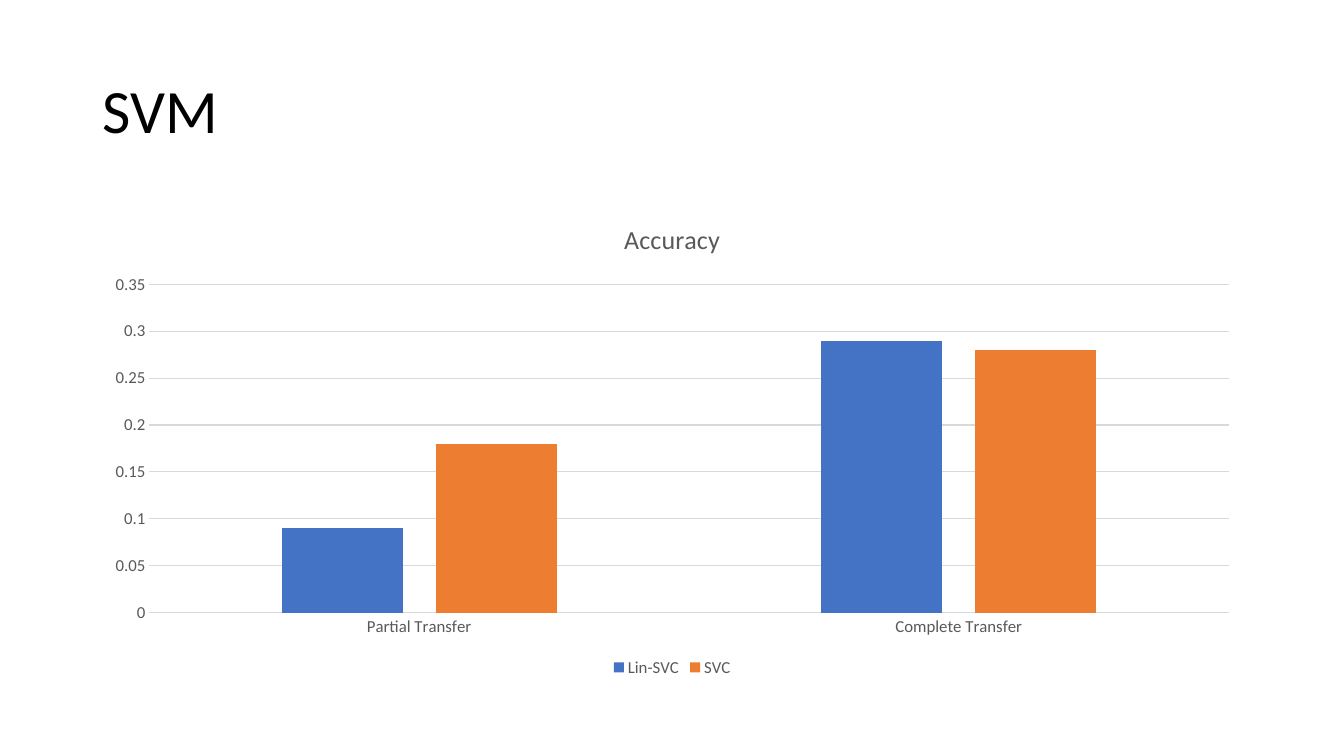
"""Build the SVM accuracy slide."""
import pptx
import pptx.util
import pptx.chart.data
import pptx.dml.color
import pptx.enum.chart
import pptx.enum.text

WIDE, HIGH = 13.33, 7.5
HEAD = "SVM"
NAME = "Accuracy"
CATS = ["Partial Transfer", "Complete Transfer"]
ROWS = [
    ("Lin-SVC", [0.09, 0.29], "4472C4"),
    ("SVC", [0.18, 0.28], "ED7D31"),
]
SIDE, SPAN = 11 / 12, 11.5
BOXES = {"title": (SIDE, 0.4, SPAN, 1.45), "chart": (SIDE, 2, SPAN, 4.76)}
GRAY, PALE = "595959", "D9D9D9"
TICK = pptx.enum.chart.XL_TICK_MARK.NONE
VALUE = {"minimum_scale": 0, "maximum_scale": 0.35, "major_unit": 0.05,
         "has_major_gridlines": True}
PLOT = {"gap_width": 219, "overlap": -27, "vary_by_categories": False}
LEGEND = {"position": pptx.enum.chart.XL_LEGEND_POSITION.BOTTOM,
          "include_in_layout": False}


def put(item, vals):
    for key, val in vals.items():
        setattr(item, key, val)


def tint(text):
    return pptx.dml.color.RGBColor.from_string(text)


def style(font, size, color):
    put(font, {"name": "Calibri", "size": pptx.util.Pt(size), "bold": False})
    font.color.rgb = tint(color)


def rule(line):
    line.color.rgb = tint(PALE)
    line.width = pptx.util.Pt(0.75)


def place(name):
    return [pptx.util.Inches(n) for n in BOXES[name]]


def add_title(slide):
    title = slide.shapes.title
    put(title, dict(zip(("left", "top", "width", "height"), place("title"))))
    frame = title.text_frame
    frame.text = HEAD
    put(frame, {"vertical_anchor": pptx.enum.text.MSO_ANCHOR.MIDDLE,
                "word_wrap": True})
    para = frame.paragraphs[0]
    put(para, {"alignment": pptx.enum.text.PP_ALIGN.LEFT, "line_spacing": 0.9})
    style(para.runs[0].font, 44, "000000")


def add_graph(slide):
    data = pptx.chart.data.CategoryChartData()
    data.categories = CATS
    for name, vals, color in ROWS:
        data.add_series(name, vals)
    kind = pptx.enum.chart.XL_CHART_TYPE.COLUMN_CLUSTERED
    chart = slide.shapes.add_chart(kind, *place("chart"), data).chart
    style(chart.font, 12, GRAY)

    put(chart, {"has_title": True, "has_legend": True})
    frame = chart.chart_title.text_frame
    frame.text = NAME
    style(frame.paragraphs[0].runs[0].font, 18.6, GRAY)
    chart.chart_title.include_in_layout = False
    put(chart.legend, LEGEND)
    style(chart.legend.font, 12, GRAY)

    base, scale = chart.category_axis, chart.value_axis
    for axis in (base, scale):
        put(axis, {"major_tick_mark": TICK, "minor_tick_mark": TICK})
        style(axis.tick_labels.font, 12, GRAY)
    put(scale, VALUE)
    rule(base.format.line)
    rule(scale.major_gridlines.format.line)
    scale.format.line.fill.background()

    plot = chart.plots[0]
    put(plot, PLOT)
    for bar, (name, vals, color) in zip(plot.series, ROWS):
        bar.format.fill.solid()
        bar.format.fill.fore_color.rgb = tint(color)


def main():
    deck = pptx.Presentation()
    put(deck, {"slide_width": pptx.util.Inches(WIDE),
               "slide_height": pptx.util.Inches(HIGH)})
    slide = deck.slides.add_slide(deck.slide_layouts[5])
    add_title(slide)
    add_graph(slide)
    deck.save("out.pptx")


if __name__ == "__main__":
    main()
